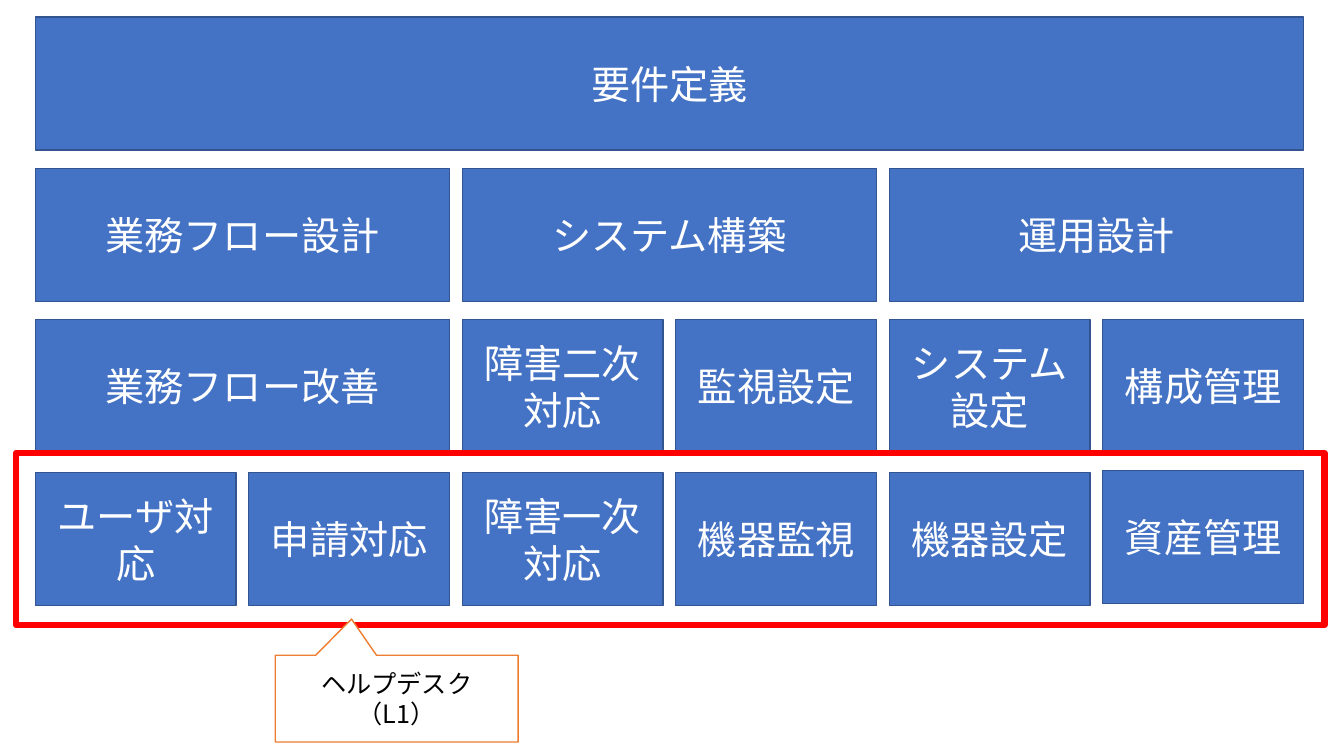
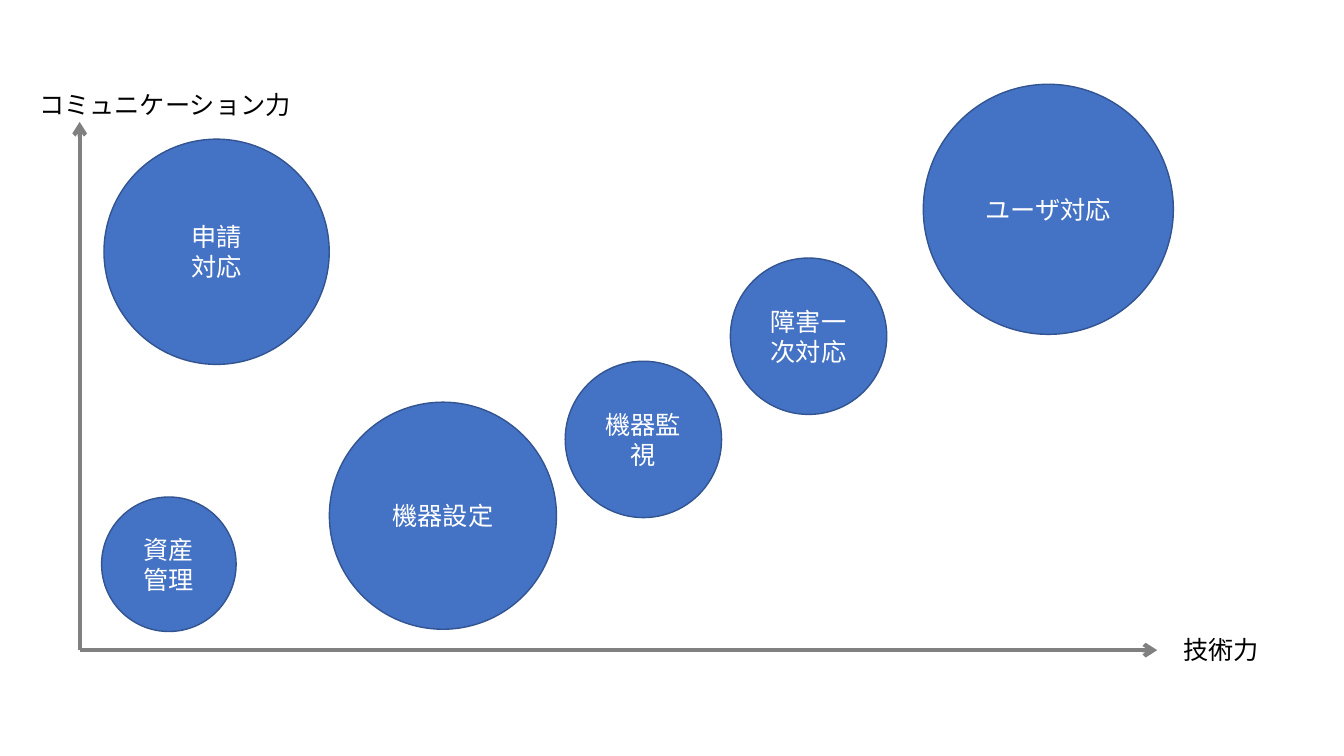
"""Build two slides: the layers of IT support work, and the skills each task needs."""
from dataclasses import dataclass

import lxml.etree
import pptx
import pptx.dml.color
import pptx.enum.shapes
import pptx.enum.text
import pptx.oxml.ns
import pptx.util

Pt = pptx.util.Pt
SHAPE = pptx.enum.shapes.MSO_SHAPE
ALIGN = pptx.enum.text.PP_ALIGN
qn = pptx.oxml.ns.qn


@dataclass(frozen=True)
class Theme:
    """Colours, font and sizes used on both slides."""
    font: str = "Noto Sans CJK JP"
    block: str = "4472C4"
    block_line: str = "325491"
    white: str = "FFFFFF"
    black: str = "000000"
    frame: str = "FF0000"
    callout_line: str = "ED7D31"
    axis: str = "808080"
    large: float = 28
    body: float = 18
    thin: float = 1
    axis_width: float = 3
    frame_width: float = 4.5


THEME = Theme()

GRID_LEFT, CELL_WIDTH, CELL_HEIGHT, COLUMN_STEP = 25.2, 143.5, 95, 152.5
LAYERS = [
    (12.2, [("要件定義", 6)]),
    (120.2, [("業務フロー設計", 2), ("システム構築", 2), ("運用設計", 2)]),
    (228.2, [("業務フロー改善", 2), ("障害二次対応", 1), ("監視設定", 1),
             ("システム設定", 1), ("構成管理", 1)]),
    (337.7, [("ユーザ対応", 1), ("申請対応", 1), ("障害一次対応", 1),
             ("機器監視", 1), ("機器設定", 1)]),
]
ASSET_TOP = 336.2

BUBBLES = [
    ("ユーザ対応", 659.5, 60.2, 178.6),
    ("申請\n対応", 74.3, 99.4, 160.9),
    ("障害一次対応", 521.7, 184.3, 111.7),
    ("機器監視", 403.7, 258, 111.7),
    ("機器設定", 235.3, 287.3, 162.2),
    ("資産管理", 72.6, 355, 96.1),
]
ORIGIN = (56.9, 464.4)


def rgb(value):
    """Turn a hex string into a colour."""
    return pptx.dml.color.RGBColor.from_string(value)


def write(tf, text, size=THEME.body, color=THEME.black, align=ALIGN.LEFT):
    """Fill a text frame, one paragraph a line."""
    for i, line in enumerate(text.split("\n")):
        p = tf.paragraphs[0] if i == 0 else tf.add_paragraph()
        p.alignment = align
        r = p.add_run()
        r.text = line
        r.font.size = Pt(size)
        r.font.name = THEME.font
        r.font.color.rgb = rgb(color)
        ea = lxml.etree.SubElement(r.font._element, qn("a:ea"))
        ea.set("typeface", THEME.font)


def add_shape(s, kind, box, fill=THEME.block, line=THEME.block_line,
              width=THEME.thin, text="", size=THEME.body, color=THEME.white):
    """Add a preset shape with centred text."""
    sp = s.shapes.add_shape(kind, *map(Pt, box))
    sp.shadow.inherit = False
    if fill:
        sp.fill.solid()
        sp.fill.fore_color.rgb = rgb(fill)
    else:
        sp.fill.background()
    sp.line.color.rgb = rgb(line)
    sp.line.width = Pt(width)
    if text:
        tf = sp.text_frame
        tf.word_wrap = True
        tf.vertical_anchor = pptx.enum.text.MSO_ANCHOR.MIDDLE
        write(tf, text, size=size, color=color, align=ALIGN.CENTER)
    return sp


def add_block(s, label, column, top, span=1):
    """Add a work block that covers a number of grid columns."""
    left = GRID_LEFT + column * COLUMN_STEP
    width = CELL_WIDTH + (span - 1) * COLUMN_STEP
    add_shape(s, SHAPE.RECTANGLE, (left, top, width, CELL_HEIGHT),
              text=label, size=THEME.large)


def add_axis(s, end):
    """Add an arrow from the origin of the map."""
    axis = s.shapes.add_connector(pptx.enum.shapes.MSO_CONNECTOR.STRAIGHT,
                                  *map(Pt, ORIGIN + end))
    axis.line.color.rgb = rgb(THEME.axis)
    axis.line.width = Pt(THEME.axis_width)
    ln = axis.line._get_or_add_ln()
    lxml.etree.SubElement(ln, qn("a:tailEnd")).set("type", "arrow")
    lxml.etree.SubElement(axis._element.spPr, qn("a:effectLst"))


def add_label(s, text, box):
    """Add a single-line text box."""
    tf = s.shapes.add_textbox(*map(Pt, box)).text_frame
    tf.word_wrap = False
    tf.auto_size = pptx.enum.text.MSO_AUTO_SIZE.SHAPE_TO_FIT_TEXT
    write(tf, text)


def build_layers(s):
    """Draw the layers of work and mark the help desk."""
    for top, blocks in LAYERS:
        column = 0
        for label, span in blocks:
            add_block(s, label, column, top, span)
            column += span
    add_block(s, "資産管理", 5, ASSET_TOP)
    add_shape(s, SHAPE.RECTANGLE, (11.5, 323.5, 934.5, 123), fill=None,
              line=THEME.frame, width=THEME.frame_width)
    callout = add_shape(s, SHAPE.RECTANGULAR_CALLOUT, (196.6, 468, 173.5, 62),
                        fill=THEME.white, line=THEME.callout_line,
                        text="ヘルプデスク\n（L1）", color=THEME.black)
    callout.adjustments[0] = -0.186
    callout.adjustments[1] = -0.917


def build_skill_map(s):
    """Draw the tasks by technical and communication skill."""
    add_axis(s, (826.6, ORIGIN[1]))
    add_axis(s, (ORIGIN[0], 87.1))
    add_label(s, "技術力", (838.1, 449.3, 69.1, 29.1))
    add_label(s, "コミュニケーション力", (20.9, 60.5, 196.6, 29.1))
    for label, left, top, diameter in BUBBLES:
        add_shape(s, SHAPE.OVAL, (left, top, diameter, diameter), text=label)


def main():
    """Build and save the presentation."""
    prs = pptx.Presentation()
    prs.slide_width, prs.slide_height = Pt(960), Pt(540)
    blank = prs.slide_layouts[6]
    for build in (build_layers, build_skill_map):
        build(prs.slides.add_slide(blank))
    prs.save("out.pptx")


main()
